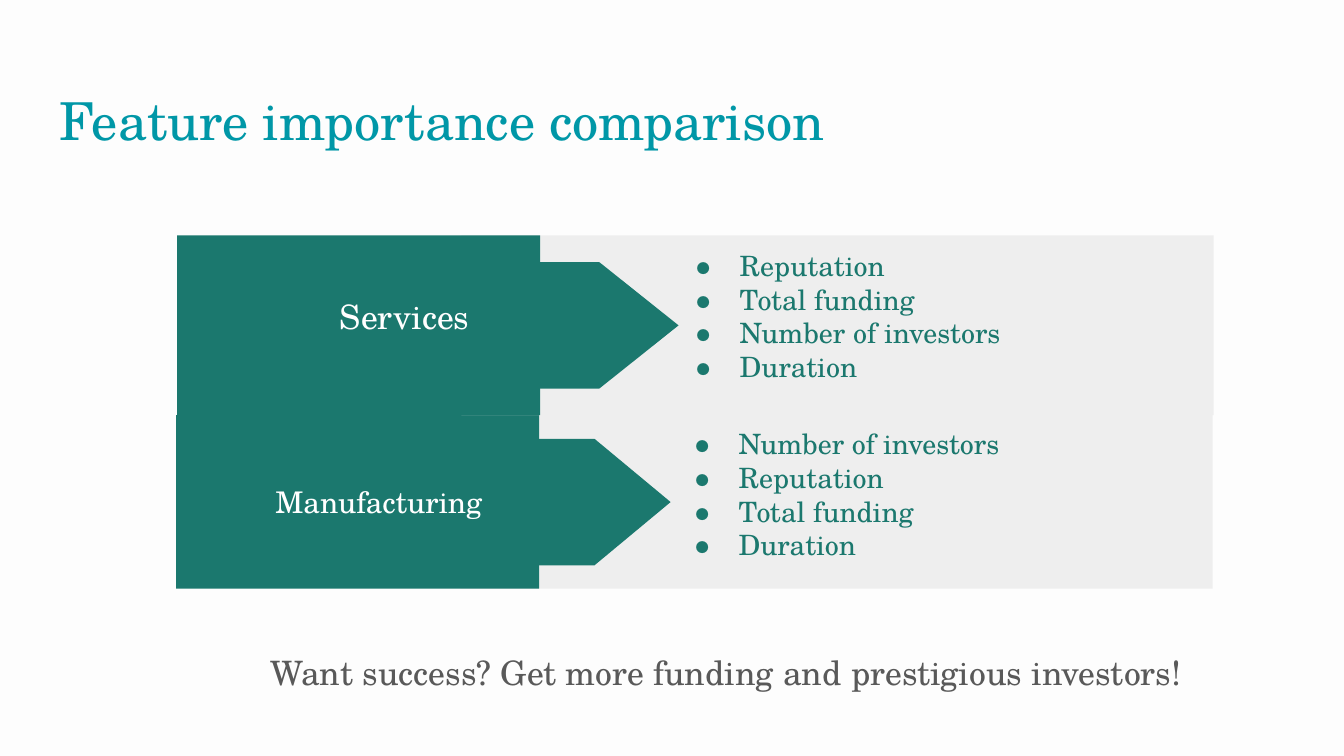
from lxml import etree
from pptx import Presentation
from pptx.dml.color import RGBColor
from pptx.enum import shapes, text
from pptx.oxml import ns
from pptx.util import Cm, Pt

TEAL = RGBColor(0x1B, 0x78, 0x6E)
CYAN = RGBColor(0x00, 0x97, 0xA7)
PALE = RGBColor(0xEE, 0xEE, 0xEE)
GREY = RGBColor(0x59, 0x59, 0x59)
WHITE = RGBColor(0xFF, 0xFF, 0xFF)
PAPER = RGBColor(0xFD, 0xFD, 0xFD)


class Deck:
    font = "TeX Gyre Schola"
    inset = Cm(0.25)

    def __init__(self, width, height):
        self.prs = Presentation()
        self.prs.slide_width, self.prs.slide_height = Cm(width), Cm(height)
        self.s = self.prs.slides.add_slide(self.prs.slide_layouts[6])
        fill = self.s.background.fill
        fill.solid()
        fill.fore_color.rgb = PAPER
        self.target = self.s.shapes

    def group(self):
        self.target = self.s.shapes.add_group_shape().shapes

    def ungroup(self):
        self.target = self.s.shapes

    def shape(self, kind, left, top, width, height, color, rotation=0):
        sp = self.target.add_shape(kind, Cm(left), Cm(top), Cm(width), Cm(height))
        sp.shadow.inherit = False
        sp.fill.solid()
        sp.fill.fore_color.rgb = color
        sp.line.fill.background()
        sp.rotation = rotation

    def block(self, left, top, width, height, color):
        self.shape(shapes.MSO_SHAPE.RECTANGLE, left, top, width, height, color)

    def arrow(self, mid_x, mid_y, length, breadth, color):
        self.shape(shapes.MSO_SHAPE.FLOWCHART_OFFPAGE_CONNECTOR,
                   mid_x - breadth / 2, mid_y - length / 2,
                   breadth, length, color, 270)

    def words(self, lines, left, top, width, height, size, color,
              anchor=text.MSO_ANCHOR.MIDDLE, align=text.PP_ALIGN.LEFT,
              spacing=1.0, bullets=False):
        sp = self.target.add_textbox(Cm(left), Cm(top), Cm(width), Cm(height))
        tf = sp.text_frame
        tf.word_wrap = True
        tf.vertical_anchor = anchor
        tf.margin_left = tf.margin_right = self.inset
        tf.margin_top = tf.margin_bottom = self.inset
        for i, line in enumerate(lines):
            p = tf.add_paragraph() if i else tf.paragraphs[0]
            p.alignment = align
            p.line_spacing = spacing
            if bullets:
                self.bullet(p, color)
            r = p.add_run()
            r.text = line
            r.font.name = self.font
            r.font.size = Pt(size)
            r.font.color.rgb = color

    def bullet(self, p, color):
        pPr = p._p.get_or_add_pPr()
        pPr.set("marL", str(Cm(1.27)))
        pPr.set("indent", str(-Cm(0.88)))
        clr = etree.SubElement(pPr, ns.qn("a:buClr"))
        etree.SubElement(clr, ns.qn("a:srgbClr"), val=str(color))
        etree.SubElement(pPr, ns.qn("a:buFont"), typeface=self.font)
        etree.SubElement(pPr, ns.qn("a:buChar"), char="●")


def add_sector(deck, left, top, height, arrow_length, label, size, label_mid,
               label_lift, features, list_lift):
    mid = top + height / 2
    deck.group()
    deck.block(left + 5.37, top, 14.22, height, PALE)
    deck.block(left, top, 6.86, height, TEAL)
    deck.arrow(9.08, mid, arrow_length, 2.39, TEAL)
    deck.words([label], label_mid - 3.6, mid - label_lift - 1.25, 7.2, 2.5,
               size, WHITE, align=text.PP_ALIGN.CENTER)
    deck.words(features, left + 9.11, mid - list_lift - 1.45, 9.8, 2.9,
               15, TEAL, bullets=True)
    deck.ungroup()


def main():
    deck = Deck(25.4, 14.29)
    deck.words(["Feature importance comparison"], 0.87, 1.24, 23.67, 1.6,
               28, CYAN, text.MSO_ANCHOR.TOP, spacing=1.15)
    add_sector(deck, 3.33, 7.85, 3.28, 7.19, "Manufacturing", 16, 7.16, 0,
               ["Number of investors", "Reputation", "Total funding", "Duration"], 0.15)
    add_sector(deck, 3.35, 4.45, 3.4, 7.49, "Services", 18, 7.65, 0.18,
               ["Reputation", "Total funding", "Number of investors", "Duration"], 0.18)
    deck.words(["Want success? Get more funding and prestigious investors!"],
               4.87, 12.07, 18.24, 0.91, 18, GREY, text.MSO_ANCHOR.TOP)
    deck.prs.save("out.pptx")


if __name__ == "__main__":
    main()
